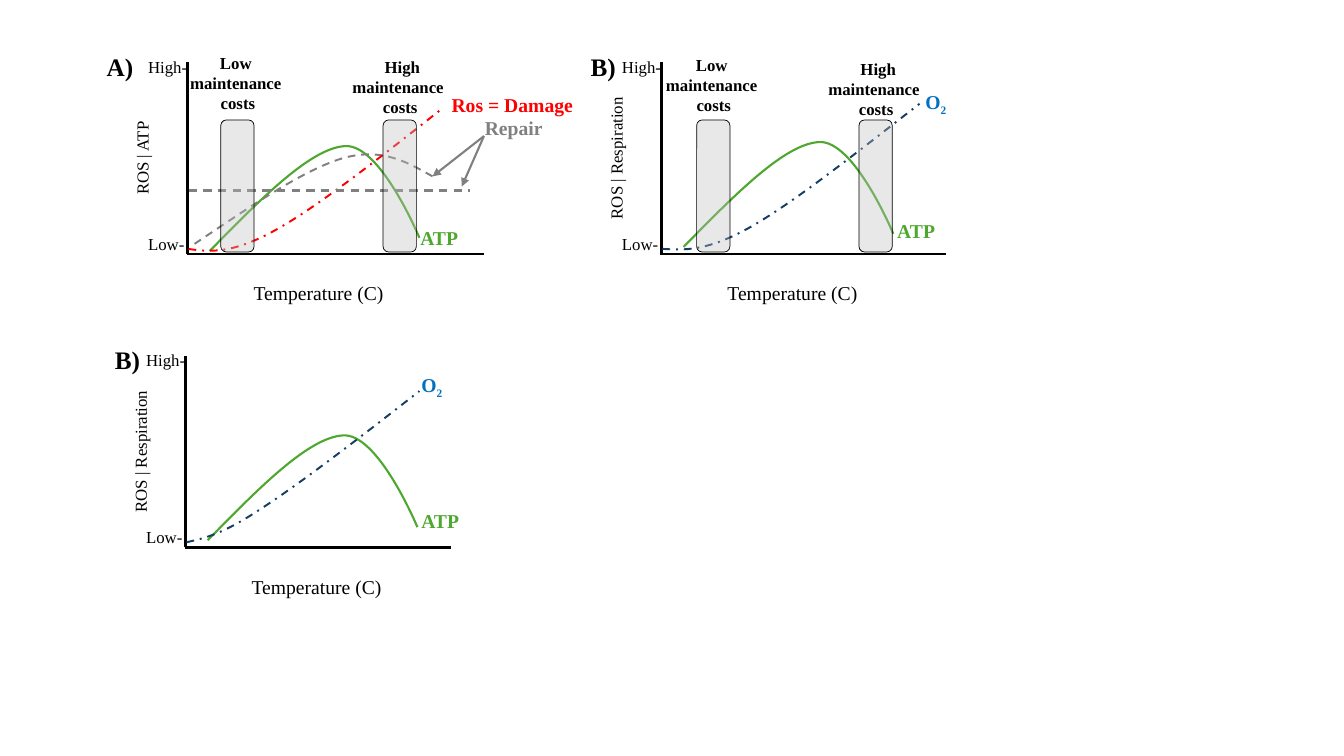
import pptx
import pptx.util
import pptx.dml.color
import pptx.enum.dml
import pptx.enum.shapes
import pptx.enum.text
import pptx.oxml
import pptx.oxml.ns

Inches = pptx.util.Inches
Pt = pptx.util.Pt
DASH = pptx.enum.dml.MSO_LINE.DASH
DASH_DOT = pptx.enum.dml.MSO_LINE.DASH_DOT

COLORS = {
    "black": "000000",
    "green": "4EA72E",
    "red": "FF0000",
    "gray": "808080",
    "navy": "163E64",
    "blue": "0070C0",
    "bar": "BFBFBF",
}


class Diagram:
    """Draws styled text, lines, curves and bars on one slide."""

    def __init__(self, s, font="Times New Roman"):
        self.s = s
        self.font = font

    def color(self, name):
        return pptx.dml.color.RGBColor.from_string(COLORS[name])

    def element(self, tag, **attrs):
        el = pptx.oxml.parse_xml(f"<{tag} {pptx.oxml.ns.nsdecls('a')}/>")
        for key, value in attrs.items():
            el.set(key, value)
        return el

    def stroke(self, sp, color, width, dash=None):
        sp.line.color.rgb = self.color(color)
        sp.line.width = Pt(width)
        if dash:
            sp.line.dash_style = dash

    def text(self, x, y, w, h, lines, size=12, color="black", bold=False,
             center=False, wrap=True, rotation=0, subscript=None):
        sp = self.s.shapes.add_textbox(Inches(x), Inches(y), Inches(w), Inches(h))
        sp.rotation = rotation
        tf = sp.text_frame
        tf.word_wrap = wrap
        tf.auto_size = pptx.enum.text.MSO_AUTO_SIZE.SHAPE_TO_FIT_TEXT
        tf.text = lines
        if subscript:
            r = tf.paragraphs[0].add_run()
            r.text = subscript
            r._r.get_or_add_rPr().set("baseline", "-25000")
        for p in tf.paragraphs:
            p.font.name = self.font
            p.font.size = Pt(size)
            p.font.bold = bold
            p.font.color.rgb = self.color(color)
            if center:
                p.alignment = pptx.enum.text.PP_ALIGN.CENTER

    def label(self, x, y, w, text, color, subscript=None):
        self.text(x, y, w, 0.34, text, 14, color, bold=True, wrap=False,
                  subscript=subscript)

    def line(self, x1, y1, x2, y2, color="black", width=2, dash=None, arrow=False):
        sp = self.s.shapes.add_connector(
            pptx.enum.shapes.MSO_CONNECTOR.STRAIGHT,
            Inches(x1), Inches(y1), Inches(x2), Inches(y2))
        self.stroke(sp, color, width, dash)
        if arrow:
            sp.line._get_or_add_ln().append(self.element("a:tailEnd", type="triangle"))
        sp._element.spPr.append(self.element("a:effectLst"))

    def curve(self, points, color, width=1.4, dash=None):
        pts = [(Inches(x), Inches(y)) for x, y in points]
        builder = self.s.shapes.build_freeform(*pts[0])
        builder.add_line_segments(pts[1:], close=False)
        sp = builder.convert_to_shape()
        sp.shadow.inherit = False
        sp.fill.background()
        self.stroke(sp, color, width, dash)
        ns = pptx.oxml.ns.qn
        segments = list(sp._element.iter(ns("a:lnTo")))
        for i in range(0, len(segments), 3):
            bezier = self.element("a:cubicBezTo")
            segments[i].addprevious(bezier)
            for segment in segments[i:i + 3]:
                bezier.append(segment[0])
                segment.getparent().remove(segment)

    def bar(self, x, y):
        sp = self.s.shapes.add_shape(
            pptx.enum.shapes.MSO_SHAPE.ROUNDED_RECTANGLE,
            Inches(x), Inches(y), Inches(0.33), Inches(1.31))
        sp.shadow.inherit = False
        sp.fill.solid()
        sp.fill.fore_color.rgb = self.color("bar")
        fill = sp._element.spPr.find(pptx.oxml.ns.qn("a:solidFill"))
        fill[0].append(self.element("a:alpha", val="35000"))
        self.stroke(sp, "black", 0.5)

    def panel(self, x, y, letter, letter_dx, y_title, axis_width, atp_y, atp_label):
        self.line(x, y, x, y + 1.9)
        self.line(x + axis_width, y + 1.9, x - 0.01, y + 1.9)
        self.text(x - 1.4, y + 0.8, 1.9, 0.3, y_title, center=True, rotation=270)
        self.text(x + 0.01, y + 2.12, 2.58, 0.34, "Temperature (C)", 14, center=True)
        for mark, dy in (("High-", -0.11), ("Low-", 1.65)):
            self.text(x - 0.49, y + dy, 0.68, 0.3, mark)
        self.text(x + letter_dx, y - 0.16, 0.47, 0.4, letter, 18, bold=True, wrap=False)
        shape = [(0, 0), (0.5, -0.51), (1, -1.02), (1.34, -1.04),
                 (1.69, -1.07), (2.08, -0.13), (2.08, -0.13)]
        self.curve([(x + 0.22 + dx, y + atp_y + dy) for dx, dy in shape], "green", 1.5)
        self.label(x + atp_label[0], y + atp_label[1], 0.58, "ATP", "green")

    def costs(self, x, y):
        for dx, dy, level in ((0, 0, "Low "), (1.61, 0.04, " High")):
            self.text(x + dx, y + dy, 1.44, 0.71, f"{level}\nmaintenance \ncosts",
                      bold=True, center=True)
            self.bar(x + 0.55 + dx, 1.19)


def main():
    prs = pptx.Presentation()
    prs.slide_width, prs.slide_height = Inches(13.33), Inches(7.5)
    d = Diagram(prs.slides.add_slide(prs.slide_layouts[6]))

    d.panel(1.84, 3.53, "B)", -0.8, "ROS | Respiration", 2.63, 1.83, (2.24, 1.47))
    d.curve([(1.85, 5.38), (2.02, 5.34), (2.19, 5.31), (2.57, 5.06),
             (2.96, 4.81), (3.56, 4.35), (4.16, 3.88)], "navy", dash=DASH_DOT)
    d.label(4.08, 3.65, 0.42, "O", "blue", subscript="2")

    d.panel(1.86, 0.62, "A)", -0.9, "ROS | ATP", 2.94, 1.87, (2.21, 1.57))
    d.curve([(4.29, 1.75), (4.04, 1.61), (3.79, 1.46), (3.4, 1.57),
             (3, 1.69), (2.47, 2.06), (1.93, 2.42)], "gray", dash=DASH)
    d.curve([(1.87, 2.47), (2.08, 2.5), (2.3, 2.52), (2.72, 2.29),
             (3.14, 2.06), (3.76, 1.57), (4.37, 1.09)], "red", dash=DASH_DOT)
    d.line(1.87, 1.89, 4.66, 1.89, "gray", 1.5, DASH)
    for x, y in ((4.29, 1.75), (4.58, 1.85)):
        d.line(4.8, 1.35, x, y, "gray", 1.5, arrow=True)
    d.label(4.71, 1.1, 0.78, "Repair", "gray")
    d.label(4.38, 0.87, 1.42, "Ros = Damage", "red")

    d.panel(6.56, 0.62, "B)", -0.8, "ROS | Respiration", 2.82, 1.83, (2.24, 1.5))
    d.curve([(6.57, 2.47), (6.78, 2.48), (7, 2.5), (7.43, 2.26),
             (7.86, 2.02), (8.49, 1.52), (9.12, 1.03)], "navy", dash=DASH_DOT)
    d.label(9.08, 0.84, 0.42, "O", "blue", subscript="2")

    d.costs(1.64, 0.47)
    d.costs(6.36, 0.49)
    prs.save("out.pptx")


if __name__ == "__main__":
    main()
